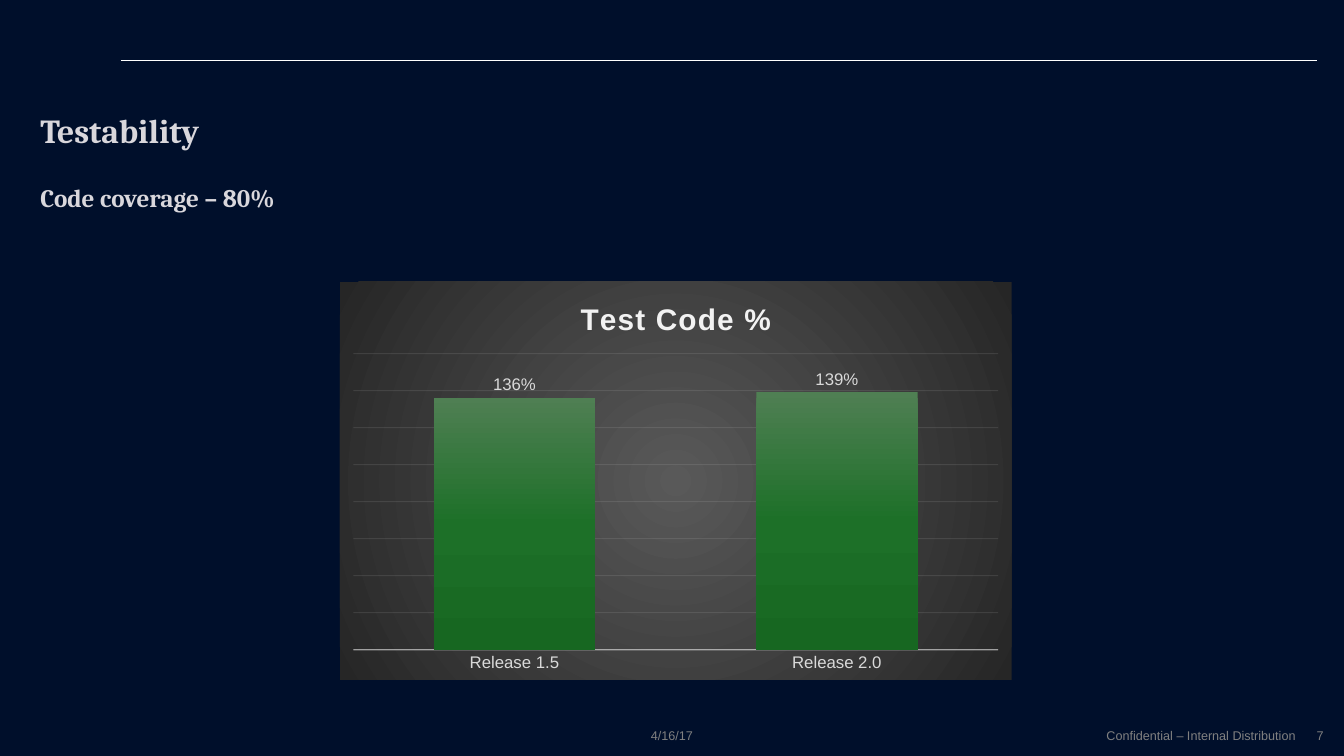
from lxml import etree
from pptx import Presentation
from pptx.chart.data import CategoryChartData
from pptx.dml.color import RGBColor
from pptx.enum.chart import XL_CHART_TYPE, XL_LABEL_POSITION, XL_TICK_LABEL_POSITION, XL_TICK_MARK
from pptx.enum.shapes import MSO_CONNECTOR
from pptx.enum.text import MSO_ANCHOR, MSO_AUTO_SIZE, PP_ALIGN
from pptx.oxml import parse_xml
from pptx.oxml.ns import nsdecls, qn
from pptx.util import Pt

COLUMNS = XL_CHART_TYPE.COLUMN_CLUSTERED
OUTSIDE_END = XL_LABEL_POSITION.OUTSIDE_END
NO_LABELS = XL_TICK_LABEL_POSITION.NONE
NO_TICK = XL_TICK_MARK.NONE
STRAIGHT = MSO_CONNECTOR.STRAIGHT
TOP = MSO_ANCHOR.TOP
NO_AUTOSIZE = MSO_AUTO_SIZE.NONE
LEFT, CENTER, RIGHT = PP_ALIGN.LEFT, PP_ALIGN.CENTER, PP_ALIGN.RIGHT

HEADINGS = [("Testability", 24, 0), ("Code coverage – 80%", 18, 25)]
FOOTERS = [
    ("4/16/17", 444, 72, CENTER),
    ("Confidential – Internal Distribution", 716, 216.5, RIGHT),
    ("7", 916, 36.5, RIGHT),
]
CHART_TITLE = "Test Code %"
COVERAGE = {"Release 1.5": 1.36, "Release 2.0": 1.39}
CHART_FRAME = (242.8, 201.4, 479.8, 284)
BAR_STOPS = [(0, "4F7F53"), (50, "1D7028"), (100, "176721")]
PANEL_STOPS = [(0, "595959"), (100, "262626")]
BAR_DIRECTION = '<a:lin ang="5400000" scaled="0"/>'
PANEL_DIRECTION = (
    '<a:path path="circle"><a:fillToRect l="50000" t="50000" r="50000" b="50000"/></a:path>'
)


def color(value):
    return RGBColor.from_string(value)


def style_font(font, name, size, value, bold=False):
    font.name = name
    font.size = Pt(size)
    font.bold = bold
    font.color.rgb = color(value)


def gradient(stops, direction):
    marks = "".join(
        f'<a:gs pos="{position * 1000}"><a:srgbClr val="{value}"/></a:gs>'
        for position, value in stops
    )
    return parse_xml(
        f'<a:gradFill {nsdecls("a")} rotWithShape="1"><a:gsLst>{marks}</a:gsLst>{direction}</a:gradFill>'
    )


def style_line(line, width, value, opacity):
    line.width = Pt(width)
    line.color.rgb = color(value)
    shade = line.fill._xPr.find(".//" + qn("a:srgbClr"))
    etree.SubElement(shade, qn("a:alpha")).set("val", str(opacity * 1000))


def add_rule(page):
    rule = page.shapes.add_connector(STRAIGHT, Pt(86.4), Pt(43.2), Pt(941), Pt(43.2))
    rule.line.width = Pt(0.5)
    rule.line.color.rgb = color("FFFFFF")
    etree.SubElement(rule._element.spPr, qn("a:effectLst"))


def add_footer(page, text, left, width, alignment):
    box = page.shapes.add_textbox(Pt(left), Pt(516.3), Pt(width), Pt(18))
    box.text_frame.word_wrap = True
    para = box.text_frame.paragraphs[0]
    para.alignment = alignment
    span = para.add_run()
    span.text = text
    style_font(span.font, "Arial", 9, "808080")


def fill_title(title):
    title.left, title.top, title.width, title.height = Pt(28.8), Pt(78.5), Pt(908), Pt(58.3)
    frame = title.text_frame
    frame.word_wrap = True
    frame.auto_size = NO_AUTOSIZE
    frame.vertical_anchor = TOP
    frame.margin_left, frame.margin_right = Pt(0), Pt(7.2)
    frame.margin_top = frame.margin_bottom = Pt(3.6)
    for index, (text, size, gap) in enumerate(HEADINGS):
        para = frame.add_paragraph() if index else frame.paragraphs[0]
        para.alignment = LEFT
        para.line_spacing = 0.9
        para.space_before = Pt(gap)
        span = para.add_run()
        span.text = text
        style_font(span.font, "Cambria", size, "D9D7DC", True)


def add_coverage_chart(page):
    data = CategoryChartData(number_format="0%")
    data.categories = list(COVERAGE)
    data.add_series(CHART_TITLE, list(COVERAGE.values()))
    chart = page.shapes.add_chart(COLUMNS, *map(Pt, CHART_FRAME), data).chart
    style_font(chart.font, "Arial", 12, "D9D9D9")
    chart.has_legend = False
    chart.has_title = True
    span = chart.chart_title.text_frame.paragraphs[0].add_run()
    span.text = CHART_TITLE
    style_font(span.font, "Arial", 21.3, "F2F2F2", True)
    span.font._element.set("spc", "100")
    chart.chart_title.include_in_layout = False

    plot = chart.plots[0]
    plot.gap_width = 100
    plot.overlap = -24
    plot.vary_by_categories = False
    plot.has_data_labels = True
    labels = plot.data_labels
    labels.show_value = True
    labels.position = OUTSIDE_END
    labels.number_format = "0%"
    labels.number_format_is_linked = False
    style_font(labels.font, "Arial", 12, "D9D9D9")

    for axis in (chart.category_axis, chart.value_axis):
        axis.major_tick_mark = axis.minor_tick_mark = NO_TICK
        style_font(axis.tick_labels.font, "Arial", 12, "D9D9D9")
    style_line(chart.category_axis.format.line, 1, "F2F2F2", 54)
    values = chart.value_axis
    values.minimum_scale, values.maximum_scale, values.major_unit = 0, 1.6, 0.2
    values.tick_label_position = NO_LABELS
    values.format.line.fill.background()
    values.has_major_gridlines = True
    style_line(values.major_gridlines.format.line, 0.75, "F2F2F2", 10)

    bars = plot.series[0].format
    bars.fill.background()
    bar_fill = chart.element.find(".//" + qn("c:ser") + "/" + qn("c:spPr"))
    bar_fill.replace(bar_fill.find(qn("a:noFill")), gradient(BAR_STOPS, BAR_DIRECTION))
    panel = parse_xml(f'<c:spPr {nsdecls("c", "a")}><a:ln><a:noFill/></a:ln></c:spPr>')
    panel.insert(0, gradient(PANEL_STOPS, PANEL_DIRECTION))
    chart.element.find(qn("c:chart")).addnext(panel)


def main():
    deck = Presentation()
    deck.slide_width, deck.slide_height = Pt(960), Pt(540)
    page = deck.slides.add_slide(deck.slide_layouts[5])
    page.background.fill.solid()
    page.background.fill.fore_color.rgb = color("000F2B")
    add_rule(page)
    for footer in FOOTERS:
        add_footer(page, *footer)
    fill_title(page.shapes.title)
    add_coverage_chart(page)
    deck.save("out.pptx")


if __name__ == "__main__":
    main()
